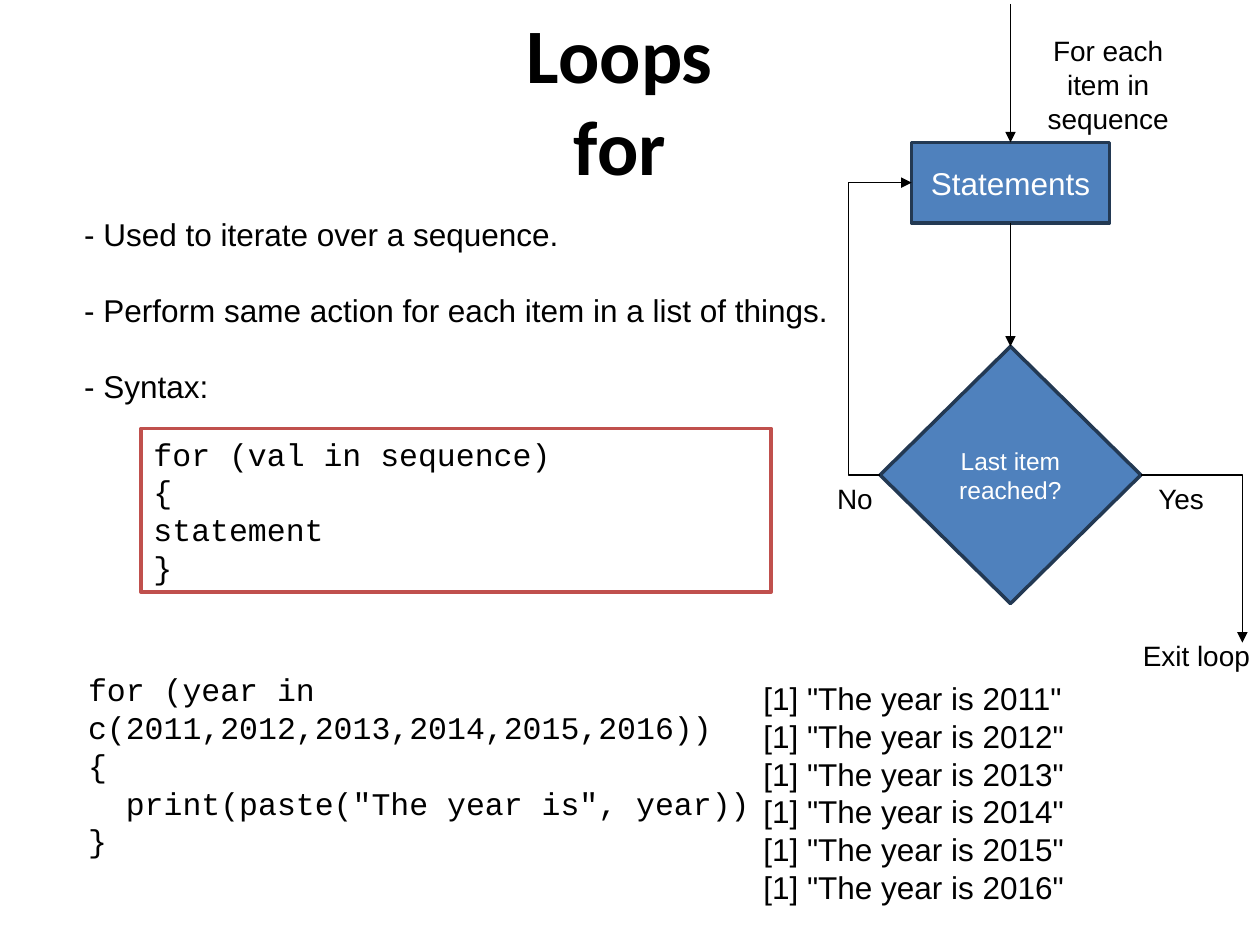
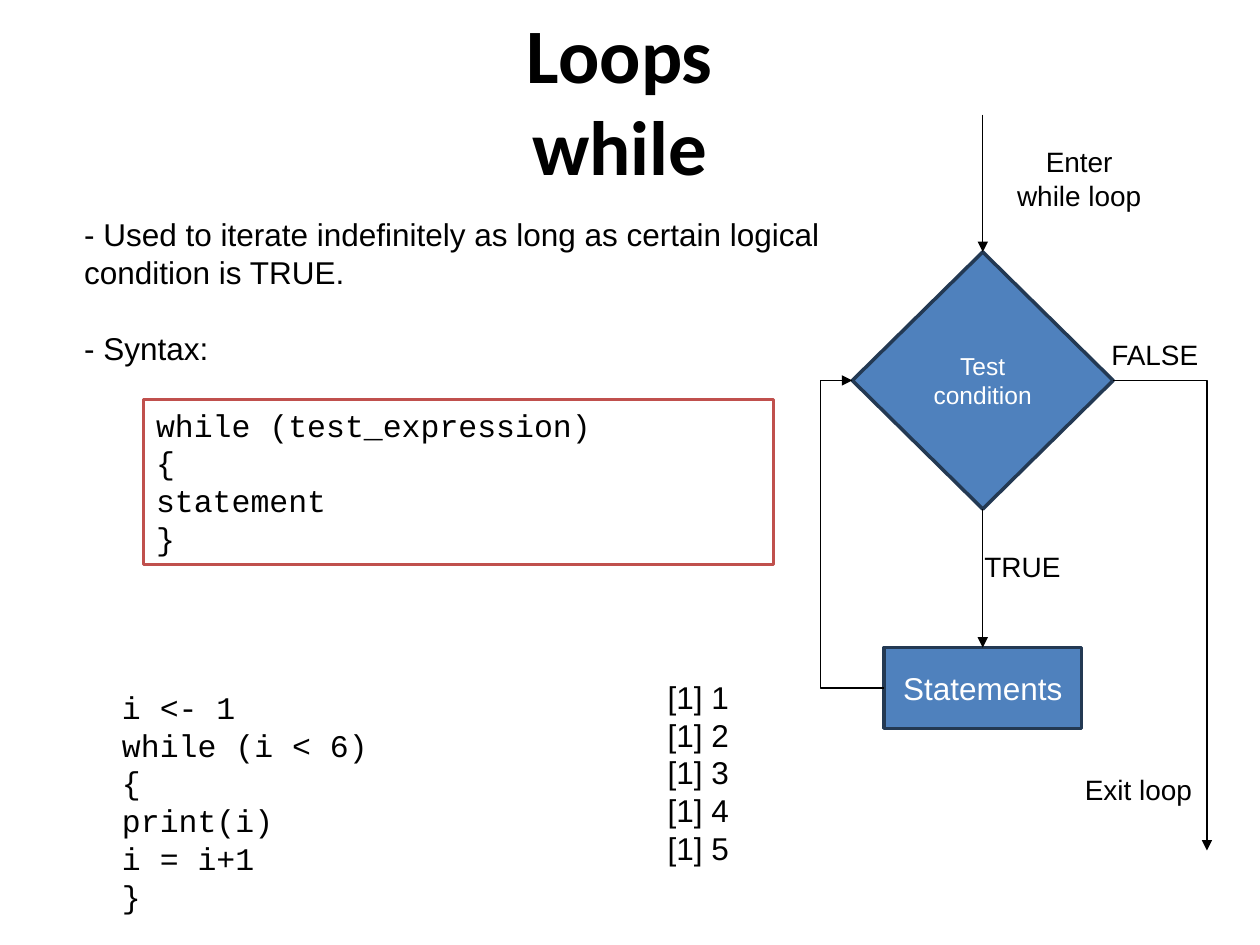
from dataclasses import dataclass

from lxml import etree
from pptx import Presentation
from pptx.dml.color import RGBColor
from pptx.enum.shapes import MSO_CONNECTOR, MSO_SHAPE
from pptx.enum.text import MSO_ANCHOR, PP_ALIGN
from pptx.oxml.ns import qn
from pptx.util import Inches, Pt

STRAIGHT, ELBOW = MSO_CONNECTOR.STRAIGHT, MSO_CONNECTOR.ELBOW
RECTANGLE = MSO_SHAPE.RECTANGLE
PROCESS = MSO_SHAPE.FLOWCHART_PROCESS
DECISION = MSO_SHAPE.FLOWCHART_DECISION
LEFT, CENTER = PP_ALIGN.LEFT, PP_ALIGN.CENTER
TOP, MIDDLE = MSO_ANCHOR.TOP, MSO_ANCHOR.MIDDLE
TOP_SIDE, LEFT_SIDE, BOTTOM_SIDE, RIGHT_SIDE = range(4)


@dataclass(frozen=True)
class Theme:
    black: RGBColor = RGBColor(0x00, 0x00, 0x00)
    white: RGBColor = RGBColor(0xFF, 0xFF, 0xFF)
    blue: RGBColor = RGBColor(0x4F, 0x81, 0xBD)
    navy: RGBColor = RGBColor(0x23, 0x39, 0x53)
    red: RGBColor = RGBColor(0xC0, 0x50, 0x4D)
    title_font: str = "Calibri"
    body_font: str = "Arial"
    code_font: str = "Courier New"
    title_size: float = 44
    body_size: float = 18
    label_size: float = 16
    decision_size: float = 14
    line_height: float = 1.2
    border: float = 2
    arrow: float = 0.75


THEME = Theme()

# The slide is a grid of 100 columns by 75 rows; all places are in cells.
presentation = Presentation()
presentation.slide_width = Inches(10)
presentation.slide_height = Inches(7.5)
CELL = presentation.slide_width // 100

TITLE_BOX = (4.2, 1.6, 90, 12.5)
STATEMENTS_WIDTH, STATEMENTS_HEIGHT = 15.7, 6.4
DECISION_WIDTH, DECISION_HEIGHT = 20.7, 20.4
LABEL_WIDTH = 11.9
RETURN_GAP = 2.5


def add_block(slide, box, text, size=THEME.body_size, font=THEME.body_font,
              color=THEME.black, align=LEFT, anchor=TOP, kind=None,
              fill=THEME.white, border=THEME.navy):
    """Add text in a plain text box, or in a preset shape when kind is given."""
    place = [round(cells * CELL) for cells in box]
    if kind is None:
        shape = slide.shapes.add_textbox(*place)
    else:
        shape = slide.shapes.add_shape(kind, *place)
        shape.shadow.inherit = False
        shape.fill.solid()
        shape.fill.fore_color.rgb = fill
        shape.line.color.rgb = border
        shape.line.width = Pt(THEME.border)
    frame = shape.text_frame
    frame.word_wrap = True
    frame.vertical_anchor = anchor
    frame.text = text
    for paragraph in frame.paragraphs:
        paragraph.alignment = align
        paragraph.line_spacing = Pt(size * THEME.line_height)
        for run in paragraph.runs:
            run.font.size = Pt(size)
            run.font.name = font
            run.font.color.rgb = color
    return shape


def add_arrow(slide, kind, start, end):
    """Add an arrow; each end is a (column, row) point or a (shape, side)."""
    arrow = slide.shapes.add_connector(kind, 0, 0, 0, 0)
    if hasattr(start[0], "shape_id"):
        arrow.begin_connect(*start)
    else:
        arrow.begin_x, arrow.begin_y = (round(cells * CELL) for cells in start)
    if hasattr(end[0], "shape_id"):
        arrow.end_connect(*end)
    else:
        arrow.end_x, arrow.end_y = (round(cells * CELL) for cells in end)
    arrow.line.color.rgb = THEME.black
    arrow.line.width = Pt(THEME.arrow)
    etree.SubElement(arrow.line._get_or_add_ln(), qn("a:tailEnd"), type="triangle")
    etree.SubElement(arrow._element.spPr, qn("a:effectLst"))
    return arrow


LOOPS = [
    {
        "title": "Loops\vfor",
        "notes_height": 19.2,
        "notes": "- Used to iterate over a sequence.\n"
                 "- Perform same action for each item in a list of things.\n"
                 "- Syntax:",
        "syntax_box": (11.2, 34, 50, 13),
        "syntax": "for (val in sequence)\n{\nstatement\n}",
        "example_box": (6, 52.7, 55.9, 16),
        "example": "for (year in c(2011,2012,2013,2014,2015,2016))\n{\n"
                   "  print(paste(\"The year is\", year))\n}",
        "output_box": (59.6, 53.4, 50, 19.2),
        "output": [f"[1] \"The year is {year}\"" for year in range(2011, 2017)],
        "axis": 80.2,
        "entry_row": 0.3,
        "statements_row": 11.3,
        "decision_row": 27.5,
        "question": "Last item reached?",
        "exit": (98.6, 51),
        "labels": [("For each item in sequence", 82, 2.2, 9.1),
                   ("Yes", 87.8, 37.7, 3.7),
                   ("Exit loop", 89, 50.2, 3.7),
                   ("No", 61.9, 37.7, 3.7)],
    },
    {
        "title": "Loops\vwhile",
        "notes_height": 16.2,
        "notes": "- Used to iterate indefinitely as long as certain logical "
                 "condition is TRUE.\n- Syntax:",
        "syntax_box": (11.4, 31.7, 50, 13.1),
        "syntax": "while (test_expression)\n{\nstatement\n}",
        "example_box": (8.7, 54.1, 50, 19.2),
        "example": "i <- 1\nwhile (i < 6)\n{\nprint(i)\ni = i+1\n}",
        "output_box": (52, 53.3, 50, 16.2),
        "output": [f"[1] {number}" for number in range(1, 6)],
        "axis": 78,
        "entry_row": 9.1,
        "statements_row": 51.4,
        "decision_row": 20,
        "question": "Test condition",
        "exit": (95.8, 67.5),
        "labels": [("Enter while loop", 79.7, 11, 6.4),
                   ("FALSE", 85.7, 26.3, 3.7),
                   ("Exit loop", 84.4, 60.8, 3.7),
                   ("TRUE", 75.2, 43.1, 3.7)],
    },
]

for loop in LOOPS:
    slide = presentation.slides.add_slide(presentation.slide_layouts[6])

    title = add_block(slide, TITLE_BOX, loop["title"], THEME.title_size,
                      THEME.title_font, align=CENTER, anchor=MIDDLE)
    frame = title.text_frame
    frame.margin_left = frame.margin_right = 0
    frame.margin_top = frame.margin_bottom = 0
    for run in frame.paragraphs[0].runs:
        run.font.bold = True

    # Explanation, syntax, example and its output
    add_block(slide, loop["syntax_box"], loop["syntax"], font=THEME.code_font,
              kind=RECTANGLE, border=THEME.red)
    add_block(slide, loop["example_box"], loop["example"], font=THEME.code_font)
    notes = add_block(slide, (5.7, 16.6, 62.7, loop["notes_height"]), loop["notes"])
    for paragraph in notes.text_frame.paragraphs[:-1]:
        paragraph.space_after = Pt(THEME.body_size * THEME.line_height)
    add_block(slide, loop["output_box"], "\n".join(loop["output"]))

    # Flowchart
    axis = loop["axis"]
    decision_left = axis - DECISION_WIDTH / 2
    decision = add_block(
        slide, (decision_left, loop["decision_row"], DECISION_WIDTH, DECISION_HEIGHT),
        loop["question"], THEME.decision_size, color=THEME.white, align=CENTER,
        anchor=MIDDLE, kind=DECISION, fill=THEME.blue)
    statements = add_block(
        slide, (axis - STATEMENTS_WIDTH / 2, loop["statements_row"],
                STATEMENTS_WIDTH, STATEMENTS_HEIGHT),
        "Statements", color=THEME.white, align=CENTER,
        anchor=MIDDLE, kind=PROCESS, fill=THEME.blue)
    first, second = sorted([decision, statements], key=lambda step: step.top)

    add_arrow(slide, STRAIGHT, (axis, loop["entry_row"]), (first, TOP_SIDE))
    add_arrow(slide, STRAIGHT, (first, BOTTOM_SIDE), (second, TOP_SIDE))

    # The way back runs to the left of both steps.
    way_back = add_arrow(slide, ELBOW, (second, LEFT_SIDE), (first, LEFT_SIDE))
    turn = (decision_left - RETURN_GAP) * CELL
    share = (turn - way_back.begin_x) / (way_back.end_x - way_back.begin_x)
    geometry = way_back._element.spPr.find(qn("a:prstGeom"))
    guides = geometry.find(qn("a:avLst"))
    etree.SubElement(guides, qn("a:gd"), name="adj1", fmla=f"val {round(share * 100000)}")

    way_out = add_arrow(slide, ELBOW, (decision, RIGHT_SIDE), loop["exit"])
    way_out._element.spPr.find(qn("a:prstGeom")).set("prst", "bentConnector2")

    for text, column, row, height in loop["labels"]:
        add_block(slide, (column, row, LABEL_WIDTH, height), text,
                  THEME.label_size, align=CENTER)

presentation.save("out.pptx")
